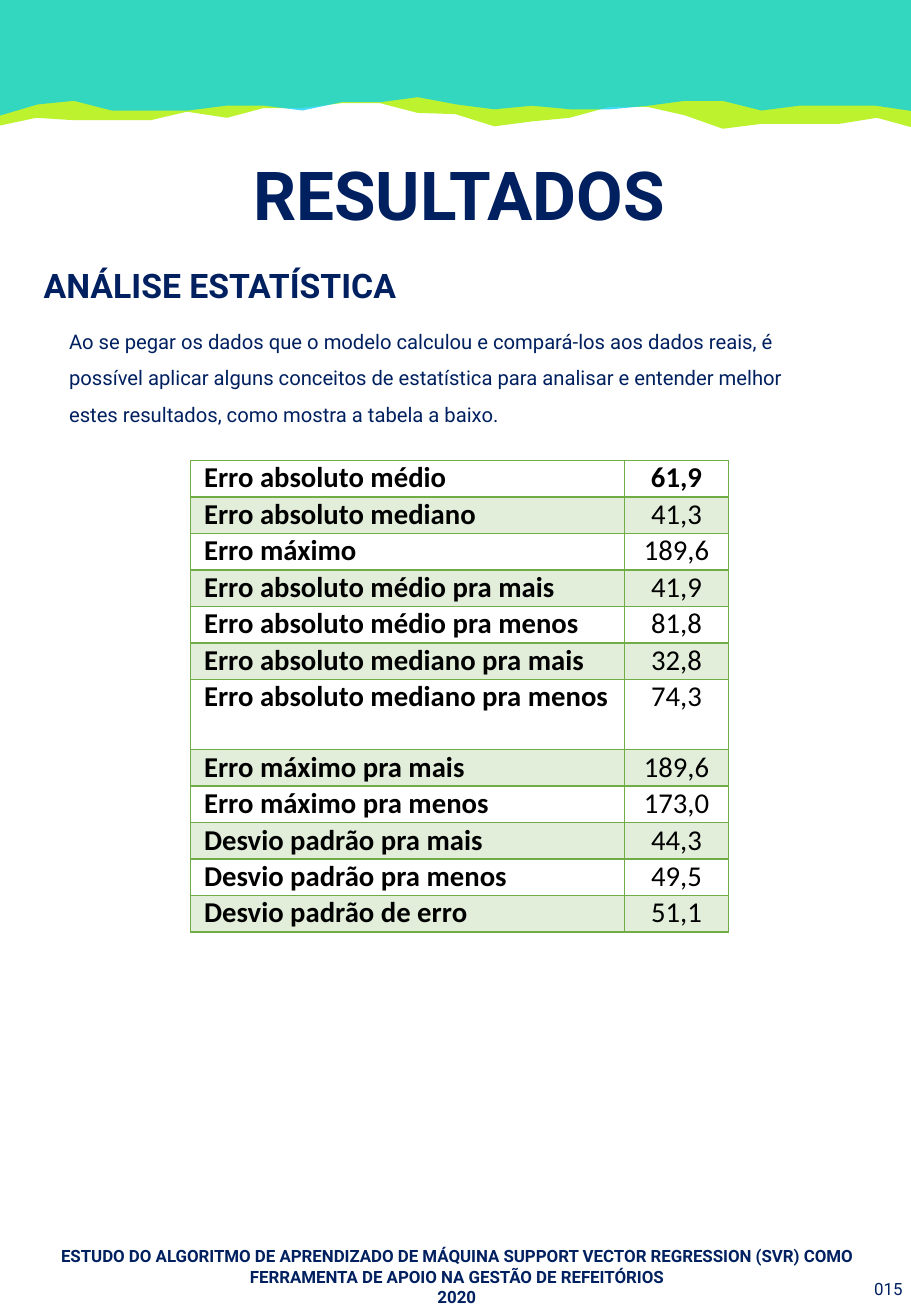
from lxml.etree import SubElement
from pptx import Presentation
from pptx.dml.color import RGBColor
from pptx.enum.text import MSO_ANCHOR, MSO_AUTO_SIZE, PP_ALIGN
from pptx.oxml import parse_xml
from pptx.oxml.ns import nsdecls, qn
from pptx.util import Inches, Pt

COLORS = {"lime": "AFF000", "cyan": "00CEF6", "navy": "002060",
          "green": "70AD47", "black": "000000"}

LIME_RIDGE = [(7.6, 1.06), (7.27, 0.97), (6.96, 1.02), (6.32, 1.02), (6, 1.06),
              (5.69, 0.95), (5.38, 0.88), (5.07, 0.88), (4.74, 0.97), (4.43, 1),
              (4.12, 1.04), (3.8, 0.94), (3.49, 0.93), (3.18, 0.85), (2.86, 0.85),
              (2.53, 0.89), (2.22, 0.89), (1.92, 0.97), (1.59, 0.92), (1.29, 0.99),
              (0.66, 0.99), (0.35, 0.97), (0.02, 1.04)]
CYAN_RIDGE = [(7.6, 0.93), (7.26, 0.88), (6.63, 0.88), (6.32, 0.92), (6, 0.84),
              (5.69, 0.84), (5.39, 0.88), (5.08, 0.91), (4.75, 0.91), (4.43, 0.88),
              (4.12, 0.91), (3.81, 0.87), (3.49, 0.81), (3.19, 0.85), (2.87, 0.85),
              (2.54, 0.92), (2.23, 0.88), (1.91, 0.88), (1.6, 0.92), (0.97, 0.92),
              (0.66, 0.84), (0.36, 0.87), (0.02, 0.97)]

STATISTICS = [
    ("Erro absoluto médio", "61,9"),
    ("Erro absoluto mediano", "41,3"),
    ("Erro máximo", "189,6"),
    ("Erro absoluto médio pra mais", "41,9"),
    ("Erro absoluto médio pra menos", "81,8"),
    ("Erro absoluto mediano pra mais", "32,8"),
    ("Erro absoluto mediano pra menos", "74,3"),
    ("Erro máximo pra mais", "189,6"),
    ("Erro máximo pra menos", "173,0"),
    ("Desvio padrão pra mais", "44,3"),
    ("Desvio padrão pra menos", "49,5"),
    ("Desvio padrão de erro", "51,1"),
]
TALL_ROW = 6


def fill_solid(fill, color, opacity):
    fill.solid()
    fill.fore_color.rgb = RGBColor.from_string(COLORS[color])
    tint = fill._xPr.find(qn("a:solidFill"))[0]
    SubElement(tint, qn("a:alpha")).set("val", str(opacity * 1000))


def format_text(frame, size, font, color, bold, align):
    for paragraph in frame.paragraphs:
        paragraph.alignment = align
        for run in paragraph.runs:
            run.font.size = Pt(size)
            run.font.name = font
            run.font.bold = bold
            run.font.color.rgb = RGBColor.from_string(COLORS[color])


def add_wave(slide, box, ridge, color, opacity):
    left, top, width, _ = box
    outline = [(left + Inches(x), top + Inches(y)) for x, y in ridge]
    builder = slide.shapes.build_freeform(left, top)
    builder.add_line_segments([(left + width, top)] + outline, close=True)
    wave = builder.convert_to_shape()
    wave.shadow.inherit = False
    wave.line.fill.background()
    fill_solid(wave.fill, color, opacity)


def add_title(slide, box, wording):
    title = slide.shapes.title
    title.left, title.top, title.width, title.height = box
    frame = title.text_frame
    frame.text = wording
    frame.auto_size = MSO_AUTO_SIZE.NONE
    frame.vertical_anchor = MSO_ANCHOR.TOP
    format_text(frame, 40, "Roboto", "navy", True, PP_ALIGN.CENTER)


def add_text(slide, box, wording, size, bold=False, align=PP_ALIGN.LEFT,
             anchor=MSO_ANCHOR.TOP, spacing=1.0):
    frame = slide.shapes.add_textbox(*box).text_frame
    frame.word_wrap = True
    frame.vertical_anchor = anchor
    frame.text = wording
    format_text(frame, size, "Roboto", "navy", bold, align)
    for paragraph in frame.paragraphs:
        paragraph.line_spacing = spacing
    return frame


def set_borders(cell, top, bottom):
    properties = cell._tc.get_or_add_tcPr()
    sides = [("lnL", 1), ("lnR", 1), ("lnT", top), ("lnB", bottom)]
    for position, (side, weight) in enumerate(sides):
        properties.insert(position, parse_xml(
            f'<a:{side} {nsdecls("a")} w="{Pt(weight)}"><a:solidFill>'
            f'<a:srgbClr val="{COLORS["green"]}"/></a:solidFill></a:{side}>'))


def add_statistics(slide, box):
    table = slide.shapes.add_table(len(STATISTICS), 2, *box).table
    table.first_row = False
    table.horz_banding = False
    table.columns[0].width = Inches(3.57)
    table.columns[1].width = box[2] - Inches(3.57)
    for row, entry in enumerate(STATISTICS):
        table.rows[row].height = Inches(0.58 if row == TALL_ROW else 0.3)
        for column, wording in enumerate(entry):
            cell = table.cell(row, column)
            cell.margin_left = cell.margin_right = Inches(0.11)
            cell.margin_top = cell.margin_bottom = 0
            cell.text_frame.text = wording
            format_text(cell.text_frame, 17, "Calibri", "black",
                        row == 0 or column == 0,
                        PP_ALIGN.CENTER if column else PP_ALIGN.LEFT)
            if row % 2:
                fill_solid(cell.fill, "green", 20)
            else:
                cell.fill.background()
            set_borders(cell, 2 if row == 1 else 1, 2 if row == 0 else 1)


def add_footer(slide, box):
    left, top, width, height = box
    add_text(slide, box,
             "ESTUDO DO ALGORITMO DE APRENDIZADO DE MÁQUINA SUPPORT VECTOR "
             "REGRESSION (SVR) COMO FERRAMENTA DE APOIO NA GESTÃO DE "
             "REFEITÓRIOS\n2020",
             10, True, PP_ALIGN.CENTER, MSO_ANCHOR.MIDDLE)
    number_box = (left + Inches(7.04), top + Inches(0.2), Inches(0.46), Inches(0.45))
    number = add_text(slide, number_box, "015", 10, align=PP_ALIGN.RIGHT,
                      anchor=MSO_ANCHOR.MIDDLE)
    number.margin_left = number.margin_right = Inches(0.07)
    number.margin_top = number.margin_bottom = Inches(0.07)


def inches_box(*lengths):
    return tuple(Inches(length) for length in lengths)


def main():
    presentation = Presentation()
    presentation.slide_width = Inches(7.5)
    presentation.slide_height = Inches(10.83)
    slide = presentation.slides.add_slide(presentation.slide_layouts[5])
    add_wave(slide, inches_box(-0.05, 0, 7.6, 1.06), LIME_RIDGE, "lime", 82)
    add_wave(slide, inches_box(-0.05, -0.01, 7.6, 0.97), CYAN_RIDGE, "cyan", 73)
    add_title(slide, inches_box(0, 1.21, 7.56, 0.77), "RESULTADOS")
    add_footer(slide, inches_box(0, 10.18, 7.52, 0.65))
    add_text(slide, inches_box(0.26, 2.13, 6.61, 0.43), "ANÁLISE ESTATÍSTICA", 20, True)
    add_text(slide, inches_box(0.47, 2.56, 6.18, 0.98),
             "Ao se pegar os dados que o modelo calculou e compará-los aos dados "
             "reais, é possível aplicar alguns conceitos de estatística para "
             "analisar e entender melhor estes resultados, como mostra a tabela "
             "a baixo.", 12, spacing=1.5)
    add_statistics(slide, inches_box(1.57, 3.79, 4.43, 3.88))
    presentation.save("out.pptx")


if __name__ == "__main__":
    main()
